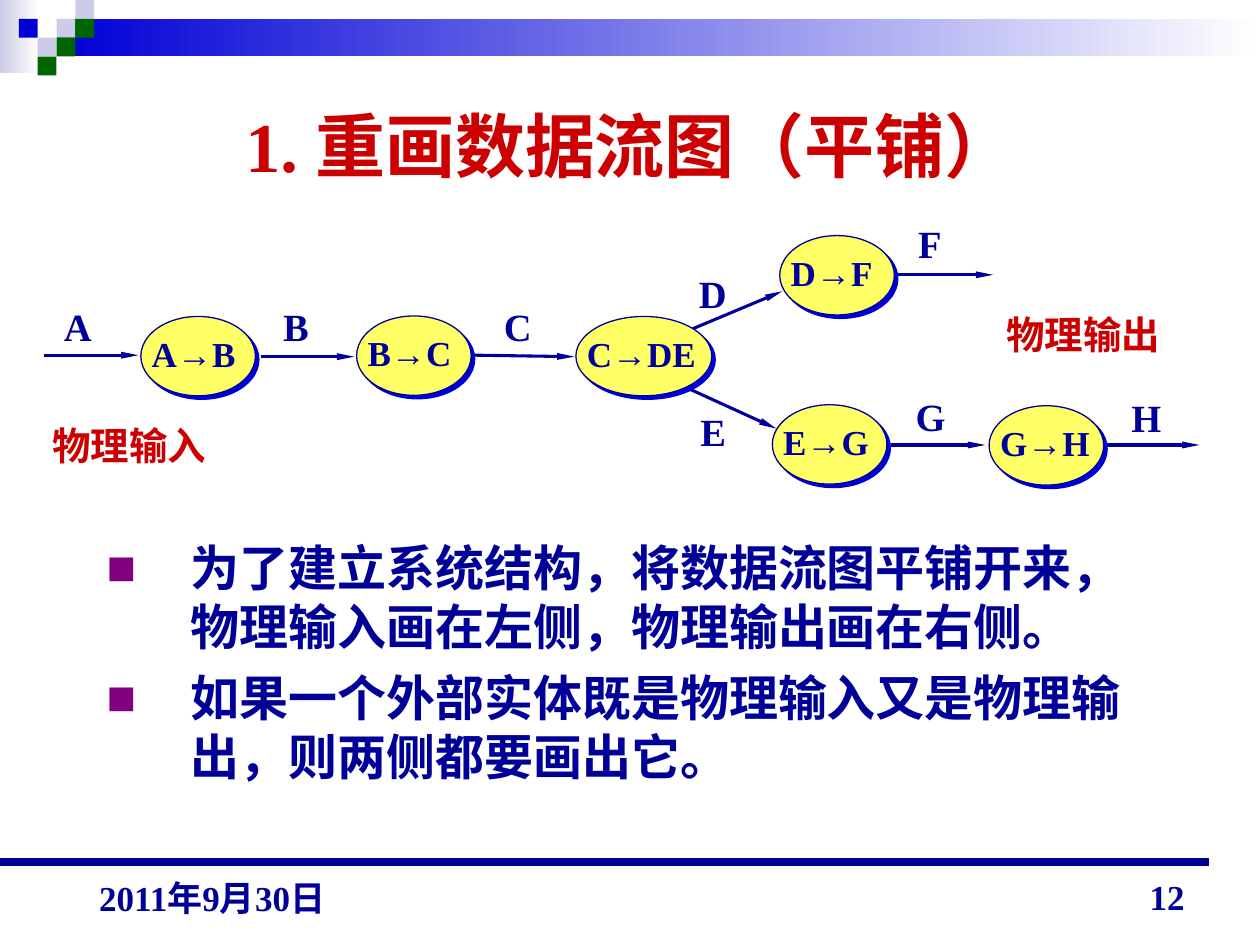
from dataclasses import dataclass

from lxml.etree import SubElement
from pptx import Presentation
from pptx.dml.color import RGBColor
from pptx.enum.shapes import MSO_CONNECTOR, MSO_SHAPE
from pptx.enum.text import MSO_ANCHOR, PP_ALIGN
from pptx.oxml.ns import qn
from pptx.util import Cm, Pt


@dataclass(frozen=True)
class Theme:
    navy: str = "000099"
    blue: str = "0000D6"
    lavender: str = "CCCCE6"
    green: str = "006600"
    yellow: str = "FFFF66"
    red: str = "CC0000"
    purple: str = "800080"
    white: str = "FFFFFF"
    font: str = "Times New Roman"
    arrow_font: str = "Arial"
    title_size: int = 40
    body_size: int = 28
    flow_size: int = 22
    small_size: int = 20


THEME = Theme()
TILE = 0.38
NODE_WIDTH, NODE_HEIGHT = 2.31, 1.6

TILES = [  # column, row, colour
    (3, 1, THEME.lavender), (4, 0, THEME.lavender), (4, 1, THEME.green),
    (2, 2, THEME.lavender), (1, 1, THEME.blue), (3, 2, THEME.green),
    (2, 3, THEME.green),
]
FLOWS = [  # name, start, end, label position
    ("A", (0.89, 7.16), (2.79, 7.16), (1.04, 5.99)),
    ("B", (5.26, 7.19), (7.14, 7.19), (5.46, 5.99)),
    ("C", (9.58, 7.16), (11.58, 7.19), (9.91, 5.99)),
    ("D", (13.84, 6.68), (15.77, 5.87), (13.84, 5.31)),
    ("E", (13.74, 7.77), (15.65, 8.64), (13.87, 8.1)),
    ("F", (18.11, 5.54), (20.02, 5.54), (18.26, 4.32)),
    ("G", (17.96, 8.97), (19.86, 8.97), (18.21, 7.8)),
    ("H", (22.28, 8.97), (24.18, 8.97), (22.56, 7.82)),
]
PROCESSES = [  # name, left, top, width
    ("A→B", 2.84, 6.38, NODE_WIDTH),
    ("B→C", 7.19, 6.37, NODE_WIDTH),
    ("C→DE", 11.61, 6.38, 2.74),
    ("D→F", 15.72, 4.75, NODE_WIDTH),
    ("E→G", 15.57, 8.16, NODE_WIDTH),
    ("G→H", 19.94, 8.18, NODE_WIDTH),
]
NOTES = [
    "为了建立系统结构，将数据流图平铺开来，物理输入画在左侧，物理输出画在右侧。",
    "如果一个外部实体既是物理输入又是物理输出，则两侧都要画出它。",
]


def rgb(colour):
    return RGBColor.from_string(colour)


def write(paragraph, text, *, size, colour=THEME.navy, align=PP_ALIGN.LEFT):
    """Fill a paragraph with bold text, setting each arrow in its own font."""
    paragraph.alignment = align
    for part in text.replace("→", "|→|").split("|"):
        run = paragraph.add_run()
        run.text = part
        run.font.name = THEME.arrow_font if part == "→" else THEME.font
        run.font.size = Pt(size)
        run.font.bold = True
        run.font.color.rgb = rgb(colour)


def add_bullet(paragraph):
    properties = paragraph._p.get_or_add_pPr()
    properties.set("marL", str(Cm(1.7)))
    properties.set("indent", str(-Cm(1.7)))
    colour = SubElement(properties, qn("a:buClr"))
    SubElement(colour, qn("a:srgbClr"), val=THEME.purple)
    SubElement(properties, qn("a:buFont"), typeface=THEME.arrow_font)
    SubElement(properties, qn("a:buChar"), char="■")


class SlideBuilder:
    def __init__(self, slide):
        self.slide = slide

    def title(self, text, left, top, width, height):
        title = self.slide.shapes.title
        title.left, title.top = Cm(left), Cm(top)
        title.width, title.height = Cm(width), Cm(height)
        title.text_frame.vertical_anchor = MSO_ANCHOR.MIDDLE
        write(title.text_frame.paragraphs[0], text, size=THEME.title_size,
              colour=THEME.red, align=PP_ALIGN.CENTER)

    def shape(self, kind, left, top, width, height, colour):
        shape = self.slide.shapes.add_shape(
            kind, Cm(left), Cm(top), Cm(width), Cm(height))
        shape.shadow.inherit = False
        shape.fill.solid()
        shape.fill.fore_color.rgb = rgb(colour)
        shape.line.fill.background()
        return shape

    def fading_band(self, left, top, width, height, colour):
        band = self.shape(MSO_SHAPE.RECTANGLE, left, top, width, height, colour)
        band.fill.gradient()
        band.fill.gradient_angle = 0
        for stop, shade in zip(band.fill.gradient_stops, (colour, THEME.white)):
            stop.color.rgb = rgb(shade)

    def frame(self, left, top, width, height, anchor=MSO_ANCHOR.TOP):
        frame = self.slide.shapes.add_textbox(
            Cm(left), Cm(top), Cm(width), Cm(height)).text_frame
        frame.word_wrap = True
        frame.vertical_anchor = anchor
        return frame

    def text(self, text, left, top, width, height, anchor=MSO_ANCHOR.TOP, **style):
        frame = self.frame(left, top, width, height, anchor)
        write(frame.paragraphs[0], text, **style)

    def bullets(self, items, left, top, width, height):
        frame = self.frame(left, top, width, height)
        for index, item in enumerate(items):
            paragraph = frame.add_paragraph() if index else frame.paragraphs[0]
            add_bullet(paragraph)
            if index:
                paragraph.space_before = Pt(7)
            write(paragraph, item, size=THEME.body_size)

    def line(self, start, end, weight, arrow=False):
        line = self.slide.shapes.add_connector(
            MSO_CONNECTOR.STRAIGHT, *map(Cm, start + end))
        line.line.color.rgb = rgb(THEME.navy)
        line.line.width = Pt(weight)
        if arrow:
            SubElement(line.line._get_or_add_ln(), qn("a:tailEnd"),
                       type="triangle", w="sm", len="lg")
        SubElement(line._element.spPr, qn("a:effectLst"))

    def process(self, name, left, top, width):
        oval = self.shape(MSO_SHAPE.OVAL, left, top, width, NODE_HEIGHT,
                          THEME.yellow)
        oval.line.color.rgb = rgb(THEME.navy)
        oval.line.width = Pt(0.75)
        effects = oval._element.spPr.find(qn("a:effectLst"))
        shadow = SubElement(effects, qn("a:outerShdw"), dist=str(Pt(2.8)),
                            dir="2700000", algn="ctr", rotWithShape="0")
        SubElement(shadow, qn("a:srgbClr"), val=THEME.blue)
        self.text(name, left - 0.03, top + 0.19, width + 0.3, 1.12,
                  size=THEME.small_size)


def main():
    deck = Presentation()
    deck.slide_width, deck.slide_height = Cm(25.4), Cm(19.05)
    page = SlideBuilder(deck.slides.add_slide(deck.slide_layouts[5]))

    page.fading_band(0, 0, 0.79, 1.47, THEME.lavender)
    page.fading_band(3 * TILE, TILE, 24.26, 2 * TILE, THEME.blue)
    for column, row, colour in TILES:
        page.shape(MSO_SHAPE.RECTANGLE, column * TILE, row * TILE,
                   TILE, TILE, colour)
    page.line((0, 17.37), (24.38, 17.37), 4.5)

    page.title("1. 重画数据流图（平铺）", 1.27, 1.27, 22.86, 3.3)
    for name, start, end, label in FLOWS:
        page.line(start, end, 1.75, arrow=True)
        page.text(name, *label, 1.3, 1.19, size=THEME.flow_size)
    for process in PROCESSES:
        page.process(*process)
    for side, left, top in (("物理输入", 0.81, 8.38), ("物理输出", 20.04, 6.15)):
        page.text(side, left, top, 3.9, 1.19, size=THEME.flow_size,
                  colour=THEME.red)

    page.bullets(NOTES, 1.9, 10.72, 21.59, 6.35)
    page.text("2011年9月30日", 1.75, 17.32, 5.92, 1.32, MSO_ANCHOR.BOTTOM,
              size=THEME.small_size)
    page.text("12", 18.21, 17.35, 5.92, 1.27, MSO_ANCHOR.BOTTOM,
              size=THEME.small_size, align=PP_ALIGN.RIGHT)
    deck.save("out.pptx")


if __name__ == "__main__":
    main()
